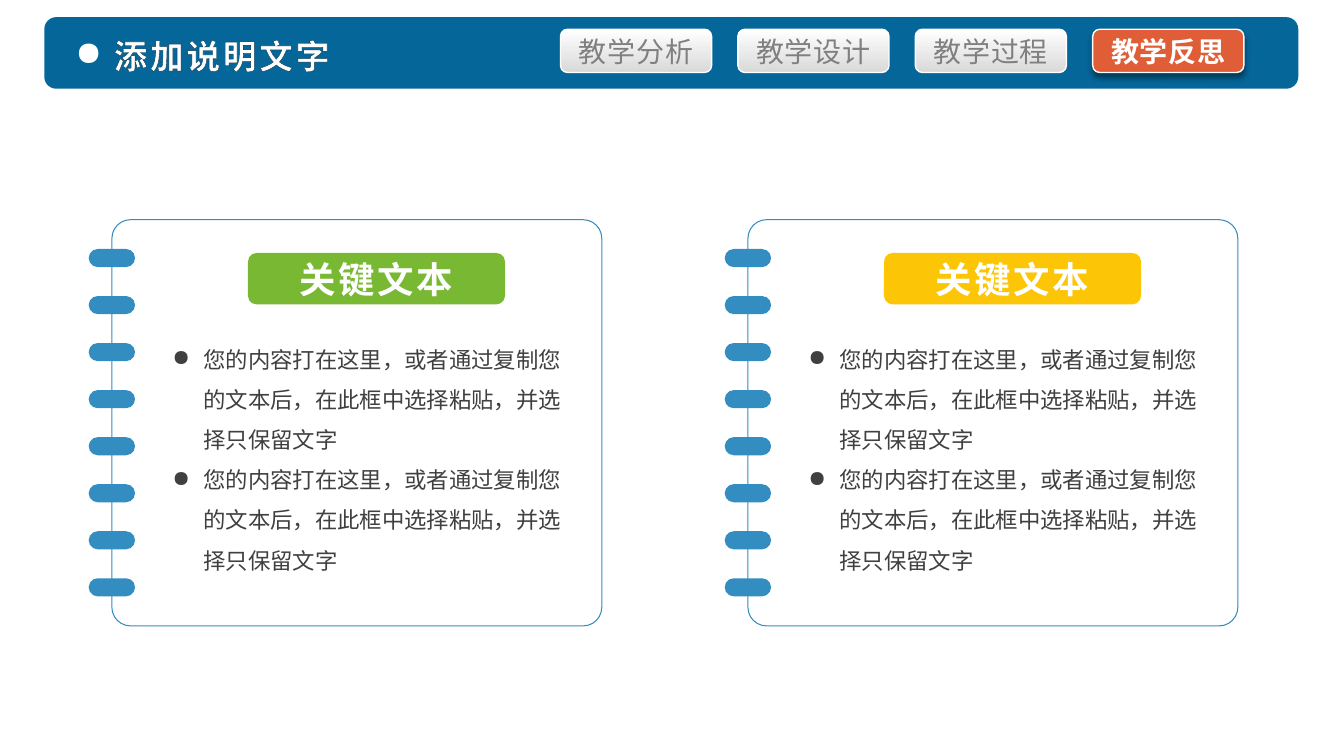
from lxml import etree
from pptx import Presentation
from pptx.dml.color import RGBColor
from pptx.enum.shapes import MSO_SHAPE
from pptx.enum.text import MSO_ANCHOR, PP_ALIGN
from pptx.oxml.ns import qn
from pptx.util import Inches, Pt

ROUNDED = MSO_SHAPE.ROUNDED_RECTANGLE
MIDDLE, TOP = MSO_ANCHOR.MIDDLE, MSO_ANCHOR.TOP
CENTER, LEFT = PP_ALIGN.CENTER, PP_ALIGN.LEFT

WHITE = RGBColor(0xFF, 0xFF, 0xFF)
BLACK = RGBColor(0x00, 0x00, 0x00)
NAVY = RGBColor(0x05, 0x66, 0x99)
DARK_NAVY = RGBColor(0x03, 0x33, 0x4C)
BLUE = RGBColor(0x33, 0x8D, 0xC0)
SILVER = RGBColor(0xD9, 0xD9, 0xD9)
GRAY = RGBColor(0x80, 0x80, 0x80)
CHARCOAL = RGBColor(0x40, 0x40, 0x40)
ORANGE = RGBColor(0xDF, 0x5E, 0x37)
GREEN = RGBColor(0x78, 0xB8, 0x32)
YELLOW = RGBColor(0xFC, 0xC5, 0x05)

CJK_FONT = "Noto Sans CJK SC"
COLUMNS, ROWS = 80, 45
TABS = ("教学分析", "教学设计", "教学过程", "教学反思")
ACTIVE_TAB = "教学反思"
BODY = "您的内容打在这里，或者通过复制您的文本后，在此框中选择粘贴，并选择只保留文字"


def add_xml(parent, tag, **attributes):
    """Append a DrawingML element and return it."""
    return etree.SubElement(parent, qn(tag), attributes)


def write(frame, *lines, size, font, color, bold=False, spacing=0, align=LEFT,
          anchor=TOP, indent=0, line_height=None, outline=None, wrap=True, inset=None):
    """Fill a text frame with one paragraph per line."""
    frame.word_wrap = wrap
    frame.vertical_anchor = anchor
    if inset is not None:
        frame.margin_left = frame.margin_right = inset
        frame.margin_top = frame.margin_bottom = inset
    for index, line in enumerate(lines):
        paragraph = frame.add_paragraph() if index else frame.paragraphs[0]
        if indent:
            properties = paragraph._p.get_or_add_pPr()
            properties.set("marL", str(Inches(indent)))
            properties.set("indent", str(-Inches(indent)))
            add_xml(properties, "a:buChar", char="●")
        paragraph.alignment = align
        if line_height:
            paragraph.line_spacing = Pt(line_height)
        run = paragraph.add_run()
        run.text = line
        run.font.size = Pt(size)
        run.font.bold = bold
        run.font.color.rgb = color
        run.font.name = font
        run_properties = run._r.get_or_add_rPr()
        run_properties.set("spc", str(int(spacing * 100)))
        add_xml(run_properties, "a:ea", typeface=CJK_FONT)
        if outline:
            edge = add_xml(run_properties, "a:ln", w=str(Pt(0.25)))
            add_xml(add_xml(edge, "a:solidFill"), "a:srgbClr", val=str(outline))
            run_properties.insert(0, edge)


class Board:
    """Draws styled elements on a slide divided into grid cells."""

    def __init__(self, presentation):
        """Add a blank slide and measure its grid."""
        self.slide = presentation.slides.add_slide(presentation.slide_layouts[6])
        self.canvas = self.slide.shapes
        self.column = presentation.slide_width / COLUMNS
        self.row = presentation.slide_height / ROWS

    def place(self, left, top, width, height):
        """Turn grid units into slide lengths."""
        return (round(left * self.column), round(top * self.row),
                round(width * self.column), round(height * self.row))

    def panel(self, *cells, fill, line=None, line_width=1, corner=None):
        """Draw a rounded rectangle; a pair of fills runs from bottom to top."""
        panel = self.canvas.add_shape(ROUNDED, *self.place(*cells))
        panel.shadow.inherit = False
        if corner is not None:
            panel.adjustments[0] = corner
        if isinstance(fill, RGBColor):
            panel.fill.solid()
            panel.fill.fore_color.rgb = fill
        else:
            panel.fill.gradient()
            panel.fill.gradient_angle = 90
            for stop, color in zip(panel.fill.gradient_stops, fill):
                stop.color.rgb = color
        if line is None:
            panel.line.fill.background()
        else:
            panel.line.color.rgb = line
            panel.line.width = Pt(line_width)
        return panel

    def text(self, *cells, lines, **style):
        """Place a text box."""
        write(self.canvas.add_textbox(*self.place(*cells)).text_frame, *lines, **style)

    def drop_shadow(self, panel):
        """Cast a soft shadow straight down."""
        effects = panel._element.spPr.find(qn("a:effectLst"))
        shadow = add_xml(effects, "a:outerShdw", blurRad=str(Pt(4)), dist=str(Pt(3)),
                         dir="5400000", algn="t", rotWithShape="0")
        add_xml(add_xml(shadow, "a:srgbClr", val=str(BLACK)), "a:alpha", val="40000")

    def tab(self, left, label):
        """Draw one navigation tab."""
        active = label == ACTIVE_TAB
        tab = self.panel(left, 1.74, 9, 2.58, line=WHITE,
                         fill=ORANGE if active else (SILVER, WHITE))
        if active:
            self.drop_shadow(tab)
        write(tab.text_frame, label, size=20, font="Roboto", bold=active, spacing=0.5,
              color=WHITE if active else GRAY, align=CENTER, anchor=MIDDLE)

    def notebook(self, left, accent):
        """Draw a ring-bound page with a heading and bullets as one group."""
        self.canvas = self.slide.shapes.add_group_shape().shapes
        self.panel(left, 13.08, 29.16, 24.18, fill=WHITE, line=BLUE,
                   line_width=0.75, corner=0.046)
        for ring in range(8):
            self.panel(left - 1.38, 14.82 + 2.8 * ring, 2.76, 1.08, fill=BLUE, corner=0.5)
        self.text(left + 3.6, 19.8, 24.36, 15.72, lines=(BODY, BODY), size=16,
                  font=CJK_FONT, color=CHARCOAL, indent=0.31, line_height=28.7, inset=0)
        heading = self.panel(left + 8.1, 15.06, 15.3, 3.06, fill=accent)
        write(heading.text_frame, "关键文本", size=26, font="Roboto Condensed", color=WHITE,
              bold=True, spacing=2, align=CENTER, anchor=MIDDLE, inset=0)
        self.canvas = self.slide.shapes


def main():
    """Build and save the slide."""
    presentation = Presentation()
    presentation.slide_width = Inches(13.33)
    presentation.slide_height = Inches(7.5)
    board = Board(presentation)
    board.panel(2.64, 1.02, 74.64, 4.26, fill=NAVY)
    for position, label in enumerate(TABS):
        board.tab(33.36 + 10.56 * position, label)
    board.text(3.9, 1.8, 16.62, 3, lines=("添加说明文字",), size=24, font="Calibri",
               color=WHITE, bold=True, spacing=2, indent=0.38, anchor=MIDDLE,
               outline=DARK_NAVY, wrap=False)
    for position, accent in enumerate((GREEN, YELLOW)):
        board.notebook(6.66 + 37.86 * position, accent)
    presentation.save("out.pptx")


if __name__ == "__main__":
    main()
